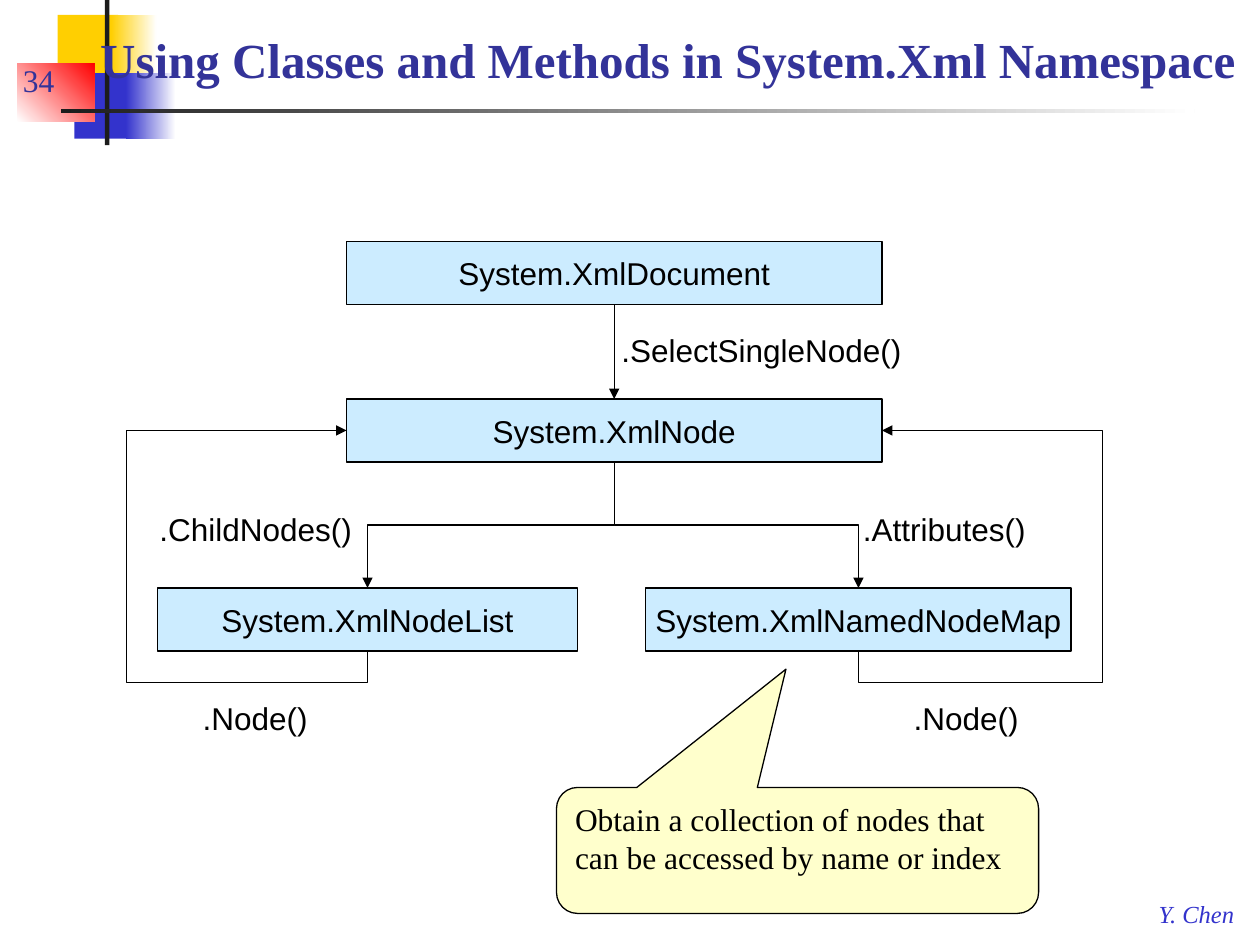
from lxml import etree
from pptx import Presentation
from pptx.dml.color import RGBColor
from pptx.enum.shapes import MSO_CONNECTOR, MSO_SHAPE
from pptx.enum.text import MSO_ANCHOR, PP_ALIGN
from pptx.oxml.ns import qn
from pptx.util import Pt

RECTANGLE = MSO_SHAPE.RECTANGLE
CALLOUT = MSO_SHAPE.ROUNDED_RECTANGULAR_CALLOUT
STRAIGHT, ELBOW = MSO_CONNECTOR.STRAIGHT, MSO_CONNECTOR.ELBOW
TOP, MIDDLE, BOTTOM = MSO_ANCHOR.TOP, MSO_ANCHOR.MIDDLE, MSO_ANCHOR.BOTTOM
LEFT, CENTER, RIGHT = PP_ALIGN.LEFT, PP_ALIGN.CENTER, PP_ALIGN.RIGHT
SIDE_TOP, SIDE_LEFT, SIDE_BOTTOM, SIDE_RIGHT = range(4)

BLACK = RGBColor(0x00, 0x00, 0x00)
WHITE = RGBColor(0xFF, 0xFF, 0xFF)
CHARCOAL = RGBColor(0x1C, 0x1C, 0x1C)
GOLD = RGBColor(0xFF, 0xCF, 0x01)
BLUE = RGBColor(0x33, 0x33, 0xCC)
RED = RGBColor(0xFF, 0x00, 0x00)
NAVY = RGBColor(0x33, 0x33, 0x99)
PALE_BLUE = RGBColor(0xCC, 0xEC, 0xFF)
PALE_YELLOW = RGBColor(0xFF, 0xFF, 0xCC)
SANS, SERIF = "Arial", "Times New Roman"


def write(shape, text, font=SANS, size=18, color=BLACK, align=LEFT,
          anchor=TOP, wrap=False, bold=False, italic=False):
    frame = shape.text_frame
    frame.text = text
    frame.word_wrap = wrap
    frame.vertical_anchor = anchor
    paragraph = frame.paragraphs[0]
    paragraph.alignment = align
    style = paragraph.runs[0].font
    style.name, style.size, style.color.rgb = font, Pt(size), color
    style.bold, style.italic = bold, italic
    return frame


def add_label(slide, box, text, **style):
    return write(slide.shapes.add_textbox(*map(Pt, box)), text, **style)


def add_block(slide, box, fill, kind=RECTANGLE, outlined=False):
    block = slide.shapes.add_shape(kind, *map(Pt, box))
    block.shadow.inherit = False
    block.fill.solid()
    block.fill.fore_color.rgb = fill
    if outlined:
        block.line.color.rgb = BLACK
        block.line.width = Pt(0.75)
    else:
        block.line.fill.background()
    return block


def add_fade(slide, box, start, end, angle=0):
    fill = add_block(slide, box, start).fill
    fill.gradient()
    fill.gradient_angle = angle
    for stop, position, color in zip(fill.gradient_stops, (0, 1), (start, end)):
        stop.position, stop.color.rgb = position, color


def add_ornament(slide, left, top):
    """Coloured squares and rules in the corner."""
    def at(x, y, width, height):
        return left + x, top + y, width, height

    add_block(slide, at(33, 8.5, 34.5, 37.5), GOLD)
    add_fade(slide, at(63.5, 8.5, 26, 37.5), GOLD, WHITE)
    add_block(slide, at(42.5, 41.75, 33, 37.5), BLUE)
    add_fade(slide, at(72, 41.75, 28.5, 37.5), BLUE, WHITE)
    add_fade(slide, at(10, 36.25, 44, 33.25), WHITE, RED, 45)
    add_block(slide, at(60, 0, 2.5, 83), CHARCOAL)
    add_fade(slide, at(34.75, 62.25, 648, 2.25), CHARCOAL, WHITE)


def add_title(slide, box, text):
    frame = add_label(slide, box, text, font=SERIF, size=28, color=NAVY,
                      align=RIGHT, anchor=BOTTOM, wrap=True, bold=True)
    frame.margin_right = Pt(14.2)
    frame.paragraphs[0].line_spacing = 1.4


def add_node(slide, box, text):
    node = add_block(slide, box, PALE_BLUE, outlined=True)
    write(node, text, align=CENTER, anchor=MIDDLE)
    return node


def add_arrow(slide, kind, source, target, target_side):
    """Arrow from the bottom of one node to a side of another."""
    arrow = slide.shapes.add_connector(kind, 0, 0, 0, 0)
    arrow.begin_connect(source, SIDE_BOTTOM)
    arrow.end_connect(target, target_side)
    arrow.line.color.rgb = BLACK
    arrow.line.width = Pt(0.75)
    line = arrow.line._get_or_add_ln()
    etree.SubElement(line, qn("a:tailEnd"), type="triangle")
    etree.SubElement(arrow._element.spPr, qn("a:effectLst"))
    return arrow


def bend(arrow, preset, adjustments):
    """Turn an elbow so that it leaves its source downwards."""
    across = arrow.end_x - arrow.begin_x
    down = arrow.end_y - arrow.begin_y
    middle_x = (arrow.begin_x + arrow.end_x) // 2
    middle_y = (arrow.begin_y + arrow.end_y) // 2
    arrow.width, arrow.height = abs(down), abs(across)
    arrow.left = middle_x - arrow.width // 2
    arrow.top = middle_y - arrow.height // 2

    properties = arrow._element.spPr
    frame = properties.find(qn("a:xfrm"))
    frame.set("rot", str((90 if across * down < 0 else 270) * 60000))
    frame.set("flipH", "1" if across > 0 else "0")
    frame.set("flipV", "1" if down < 0 else "0")

    geometry = properties.find(qn("a:prstGeom"))
    geometry.set("prst", preset)
    guides = geometry.find(qn("a:avLst"))
    if guides is None:
        guides = etree.SubElement(geometry, qn("a:avLst"))
    for number, value in enumerate(adjustments, 1):
        etree.SubElement(guides, qn("a:gd"), name=f"adj{number}",
                         fmla=f"val {round(value * 100000)}")


def add_branch(slide, source, target):
    bend(add_arrow(slide, ELBOW, source, target, SIDE_TOP),
         "bentConnector3", [0.5])


def add_return(slide, source, target, side, lane_x, drop=18):
    """Arrow that drops, runs out to a lane and climbs back to the target."""
    arrow = add_arrow(slide, ELBOW, source, target, side)
    rise = arrow.begin_y - arrow.end_y
    reach = abs(Pt(lane_x) - arrow.begin_x)
    bend(arrow, "bentConnector4",
         [-Pt(drop) / rise, reach / abs(arrow.end_x - arrow.begin_x)])


def add_diagram(slide, left, top):
    """Class boxes, the calls between them and their names."""
    def at(x, y, width, height=36):
        return left + x, top + y, width, height

    document = add_node(slide, at(126, 0, 306), "System.XmlDocument")
    node = add_node(slide, at(126, 90, 306), "System.XmlNode")
    node_list = add_node(slide, at(18, 198, 240), "System.XmlNodeList")
    node_map = add_node(slide, at(297, 198, 243), "System.XmlNamedNodeMap")

    add_arrow(slide, STRAIGHT, document, node, SIDE_TOP)
    for branch in (node_list, node_map):
        add_branch(slide, node, branch)
    add_return(slide, node_list, node, SIDE_LEFT, left)
    add_return(slide, node_map, node, SIDE_RIGHT, left + 558)

    for text, x, y, width in ((".SelectSingleNode()", 276, 47.75, 177),
                              (".Attributes()", 414, 150, 110),
                              (".ChildNodes()", 12, 150, 127),
                              (".Node()", 36.75, 258, 77),
                              (".Node()", 443, 258, 77)):
        add_label(slide, at(x, y, width, 29), text)


def add_note(slide, box, text):
    note = add_block(slide, box, PALE_YELLOW, CALLOUT, outlined=True)
    for index, value in enumerate((-0.024, -1.439, 0.167)):
        note.adjustments[index] = value
    write(note, text, font=SERIF, wrap=True)


def main():
    presentation = Presentation()
    presentation.slide_width, presentation.slide_height = Pt(720), Pt(540)
    slide = presentation.slides.add_slide(presentation.slide_layouts[6])

    # Frame of the slide
    add_ornament(slide, 0, 0)
    add_label(slide, (655, 510, 59, 24), "Y. Chen", font=SERIF, size=14,
              color=BLUE, italic=True)
    add_label(slide, (6, 24, 150, 36), "34", font=SERIF, color=NAVY,
              anchor=BOTTOM, wrap=True)
    add_title(slide, (42, 6, 678, 48),
              "Using Classes and Methods in System.Xml Namespace")

    # Content
    add_diagram(slide, 72, 138)
    add_note(slide, (318, 450, 275.5, 72),
             "Obtain a collection of nodes that can be accessed by name or index")
    presentation.save("out.pptx")


if __name__ == "__main__":
    main()
